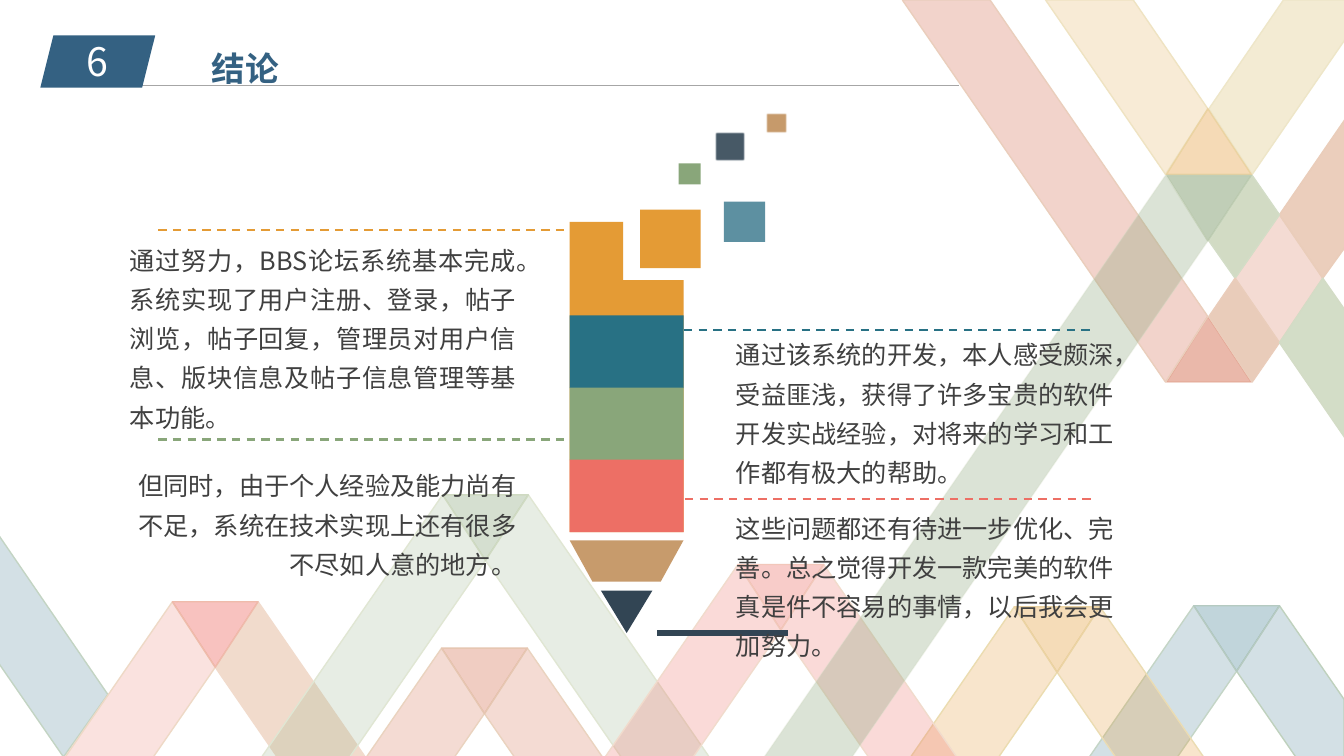
from dataclasses import dataclass

from lxml import etree
from pptx import Presentation, util as u
from pptx.dml.color import RGBColor
from pptx.enum import dml, shapes, text
from pptx.oxml.ns import qn

# The slide is a grid of 1333 columns by 750 rows.
COLUMNS, ROWS = 1333, 750
CELL = u.Inches(0.01)


@dataclass(frozen=True)
class Theme:
    font: str = "Noto Sans CJK SC"
    title_size: int = 24
    number_size: int = 28
    body_size: int = 18
    blue: str = "346182"
    body: str = "404040"
    white: str = "FFFFFF"
    hairline: str = "A6A6A6"
    orange: str = "E49B35"
    teal: str = "287184"
    green: str = "89A67A"
    coral: str = "ED6F65"
    wood: str = "C79B6C"
    lead: str = "324554"
    sky: str = "508799"
    rust: str = "D57053"
    moss: str = "88A378"


THEME = Theme()


@dataclass(frozen=True)
class Box:
    x: float
    y: float
    w: float
    h: float

    def inside(self, dx, dy, w, h):
        return Box(self.x + dx, self.y + dy, w, h)

    def emu(self):
        return [int(n * CELL) for n in (self.x, self.y, self.w, self.h)]


def fade(parent, opacity):
    """Make the first colour below parent partly transparent."""
    if opacity < 100:
        colour = parent.find(".//" + qn("a:srgbClr"))
        etree.SubElement(colour, qn("a:alpha"), val=str(opacity * 1000))


def paint(shape, fill, opacity=100, outline=None, outline_opacity=100):
    shape.shadow.inherit = False
    shape.fill.solid()
    shape.fill.fore_color.rgb = RGBColor.from_string(fill)
    fade(shape._element.spPr, opacity)
    if outline:
        shape.line.color.rgb = RGBColor.from_string(outline)
        shape.line.width = u.Pt(1)
        fade(shape.line._ln, outline_opacity)
    else:
        shape.line.fill.background()


def add_block(canvas, preset, box, fill, opacity=100):
    block = canvas.add_shape(preset, *box.emu())
    paint(block, fill, opacity)
    return block


def add_polygon(canvas, points, *colours):
    corners = [(round(x * CELL), round(y * CELL)) for x, y in points]
    builder = canvas.build_freeform(*corners[0])
    builder.add_line_segments(corners[1:], close=True)
    paint(builder.convert_to_shape(), *colours)


def add_rule(canvas, x, y, length, colour, width, dashed=False):
    ends = [int(n * CELL) for n in (x, y, x + length, y)]
    rule = canvas.add_connector(shapes.MSO_CONNECTOR.STRAIGHT, *ends)
    rule.line.color.rgb = RGBColor.from_string(colour)
    rule.line.width = u.Pt(width)
    if dashed:
        rule.line.dash_style = dml.MSO_LINE.DASH
    etree.SubElement(rule._element.spPr, qn("a:effectLst"))


def write(frame, words, size, colour, align, spacing=1.0, bold=False, wrap=True):
    frame.text = words
    frame.word_wrap = wrap
    frame.auto_size = text.MSO_AUTO_SIZE.SHAPE_TO_FIT_TEXT
    frame.vertical_anchor = text.MSO_ANCHOR.TOP
    paragraph = frame.paragraphs[0]
    paragraph.alignment, paragraph.line_spacing = align, spacing
    run = paragraph.runs[0]
    run.font.name, run.font.size, run.font.bold = THEME.font, u.Pt(size), bold
    run.font.color.rgb = RGBColor.from_string(colour)
    properties = run._r.get_or_add_rPr()
    properties.set("lang", "zh-CN")
    etree.SubElement(properties, qn("a:ea"), typeface=THEME.font)


def add_chevron(canvas, box, left, right, fold):
    """Folded ribbon; box spans the fold's width and the full height."""
    slope, fold_depth = 0.69, 65
    middle, knee, base = box.x + box.w / 2, box.y + fold_depth, box.y + box.h
    reach, knee_reach = slope * box.h, slope * (box.h - fold_depth)
    edge = box.x + box.w
    add_polygon(canvas, [(box.x, box.y), (middle, knee),
                         (middle - knee_reach, base), (box.x - reach, base)], *left)
    outer = [(edge + reach, base)]
    if edge + reach > COLUMNS:
        outer = [(COLUMNS, box.y + (COLUMNS - edge) / slope), (COLUMNS, base)]
    add_polygon(canvas, [(edge, box.y), *outer,
                         (middle + knee_reach, base), (middle, knee)], *right)
    add_polygon(canvas, [(box.x, box.y), (edge, box.y), (middle, knee)], *fold)


def add_bottom_ribbons(canvas, base):
    add_polygon(canvas, [(-4, 527), (107, 689), (63, 751), (-4, 654)],
                THEME.sky, 25, "C3D4C3")
    chevrons = [
        (171, 597, ("EE8F82", 25, "EED9C6"), ("F1DBCC", 100, "F1DBCC"), ("ED5249", 35, "EFBBAB")),
        (439, 491, ("A2B894", 25, "E0E6D3"), ("A2B894", 25, "E0E6D3"), (THEME.green, 35, "CFDAC2")),
        (438, 643, (THEME.rust, 25, "EAD3BF"), (THEME.rust, 25, "EAD3BF"), (THEME.rust, 35, "E6C6B1")),
        (1184, 601, (THEME.sky, 25, "C4D5C6"), (THEME.sky, 25, "BFD1BD"), (THEME.sky, 35, "B5CAC1")),
        (1006, 602, (THEME.orange, 25, "EBDCB0"), (THEME.orange, 25, "EBDCB2"), (THEME.orange, 35, "EBD3A3")),
        (732, 560, (THEME.coral, 25, "F1DBCC"), (THEME.coral, 25, "F1DBCC"), (THEME.coral, 35, "F2C7BA")),
    ]
    for x, top, *colours in chevrons:
        add_chevron(canvas, Box(x, top, 85, base - top), *colours)


def add_corner_ribbons(canvas, right):
    """Woven ribbons that run from the top edge to the right edge."""
    top, crossing, lower = 108, 174, 379
    ribbons = [
        ([(1198, 314), (1241, lower), (1157, lower)], THEME.rust, 49, "DF9B83", 49),
        ([(1037, 0), (1124, 0), (1198, top), (1156, 173)], "E7B05E", 25, "EFE3C2"),
        ([(1273, 0), (right, 0), (right, 38), (1242, 173), (1199, top)], "EFE3C2", 71, "EEE6C8"),
        ([(1269, 213), (1312, 276), (1269, 340), (1225, 276)], THEME.rust, 25, "EAD3BE"),
        ([(right, 117), (right, 244), (1312, 276), (1269, 213)], "EBCEBC", 100, "EACDBA"),
        ([(1242, crossing), (1269, 213), (1225, 276), (1199, 239)], "D2DBC4", 100, "D3DDC7"),
        ([(1225, 276), (1269, 340), (1242, lower), (1199, 314)], "E9CCBA", 100, "EACDBB"),
        ([(1312, 276), (right, 309), (right, 436), (1269, 340)], "D3DDC7", 100, "D3DCC6"),
        ([(1198, top), (1241, 173), (1157, 173)], THEME.orange, 36, "EBD3A2"),
        ([(1198, 239), (1241, crossing), (1157, crossing)], THEME.moss, 53, "B3C4A5", 53),
        ([(895, 0), (982, 0), (1198, 314), (1156, lower)], THEME.rust, 30, "EACEBC"),
        ([(1156, crossing), (1198, 239), (843, 754), (756, 754)], THEME.moss, 30, "D3DCC5", 30),
    ]
    for points, *colours in ribbons:
        add_polygon(canvas, points, *colours)


def add_heading(slide, box, number, words):
    title = slide.shapes.title
    title.left, title.top, title.width, title.height = box.inside(160, -12, 88, 64).emu()
    write(title.text_frame, words, THEME.title_size, THEME.blue, text.PP_ALIGN.LEFT,
          spacing=1.5, bold=True, wrap=False)
    add_rule(slide.shapes, box.x + 47, box.y + 50, box.w - 47, THEME.hairline, 0.5)
    add_block(slide.shapes, shapes.MSO_SHAPE.PARALLELOGRAM,
              box.inside(0, 0, 114, box.h), THEME.blue)
    label = slide.shapes.add_textbox(*box.inside(1, -3, 112, 57).emu())
    write(label.text_frame, number, THEME.number_size, THEME.white, text.PP_ALIGN.CENTER)


def add_pencil(slide, box):
    canvas = slide.shapes.add_group_shape().shapes
    preset = shapes.MSO_SHAPE
    body_width, band = 113, 72
    tip = add_block(canvas, preset.ISOSCELES_TRIANGLE, box.inside(31, 474, 51, 42), THEME.lead)
    tip.rotation = 180
    add_block(canvas, preset.FLOWCHART_MANUAL_OPERATION,
              box.inside(0, 424, body_width, 41), THEME.wood)
    notched_end = [(0, 108), (53, 108), (53, 166), (body_width, 166), (body_width, 416), (0, 416)]
    add_polygon(canvas, [(box.x + dx, box.y + dy) for dx, dy in notched_end], THEME.orange)
    flying_squares = [  # dx, dy, width, height, colour, opacity, soft edge
        (70, 96, 60, 58, THEME.orange, 100, 0),
        (108, 50, 22, 21, THEME.green, 100, 0),
        (194, 0, 22, 21, THEME.wood, 100, 1),
        (144, 19, 30, 29, THEME.lead, 89, 1),
        (153, 88, 41, 40, THEME.sky, 92, 0),
    ]
    for *place, colour, opacity, soft in flying_squares:
        square = add_block(canvas, preset.RECTANGLE, box.inside(*place), colour, opacity)
        if soft:
            effects = square._element.spPr.find(qn("a:effectLst"))
            etree.SubElement(effects, qn("a:softEdge"), rad=str(u.Pt(soft)))
    add_rule(canvas, box.x + 87, box.y + box.h, 130, THEME.lead, 4.5)
    for row, colour in enumerate((THEME.teal, THEME.green, THEME.coral)):
        add_block(canvas, preset.RECTANGLE,
                  box.inside(0, 201 + row * (band - 0.5), body_width, band), colour)


def add_callout(slide, box, words, colour, align, rule_dx, rule_dy):
    add_rule(slide.shapes, box.x + rule_dx, box.y + rule_dy, 434, colour, 1.5, dashed=True)
    passage = slide.shapes.add_textbox(*box.emu())
    write(passage.text_frame, words, THEME.body_size, THEME.body, align, spacing=1.3)


def build_conclusion(slide):
    add_bottom_ribbons(slide.shapes, base=754)
    add_corner_ribbons(slide.shapes, right=COLUMNS + 2)
    add_heading(slide, Box(40, 35, 911, 52), "6", "结论")
    add_pencil(slide, Box(565, 112, 217, 516))
    align = text.PP_ALIGN
    left, right, width = 119, 720, 403
    add_callout(slide, Box(left, 229, width, 207),
                "通过努力，BBS论坛系统基本完成。系统实现了用户注册、登录，帖子浏览，帖子回复，管理员对用户信息、版块信息及帖子信息管理等基本功能。",
                THEME.orange, align.JUSTIFY, 38, -1)
    add_callout(slide, Box(left, 453, width, 124),
                "但同时，由于个人经验及能力尚有不足，系统在技术实现上还有很多不尽如人意的地方。",
                THEME.green, align.RIGHT, 38, -17)
    add_callout(slide, Box(right, 323, width, 164),
                "通过该系统的开发，本人感受颇深，受益匪浅，获得了许多宝贵的软件开发实战经验，对将来的学习和工作都有极大的帮助。",
                THEME.teal, align.LEFT, -71, 4)
    add_callout(slide, Box(right, 495, width, 164),
                "这些问题都还有待进一步优化、完善。总之觉得开发一款完美的软件真是件不容易的事情，以后我会更加努力。",
                THEME.coral, align.LEFT, -70, 0)


def main():
    deck = Presentation()
    deck.slide_width, deck.slide_height = COLUMNS * CELL, ROWS * CELL
    title_only = deck.slide_layouts[5]
    build_conclusion(deck.slides.add_slide(title_only))
    deck.save("out.pptx")


if __name__ == "__main__":
    main()
